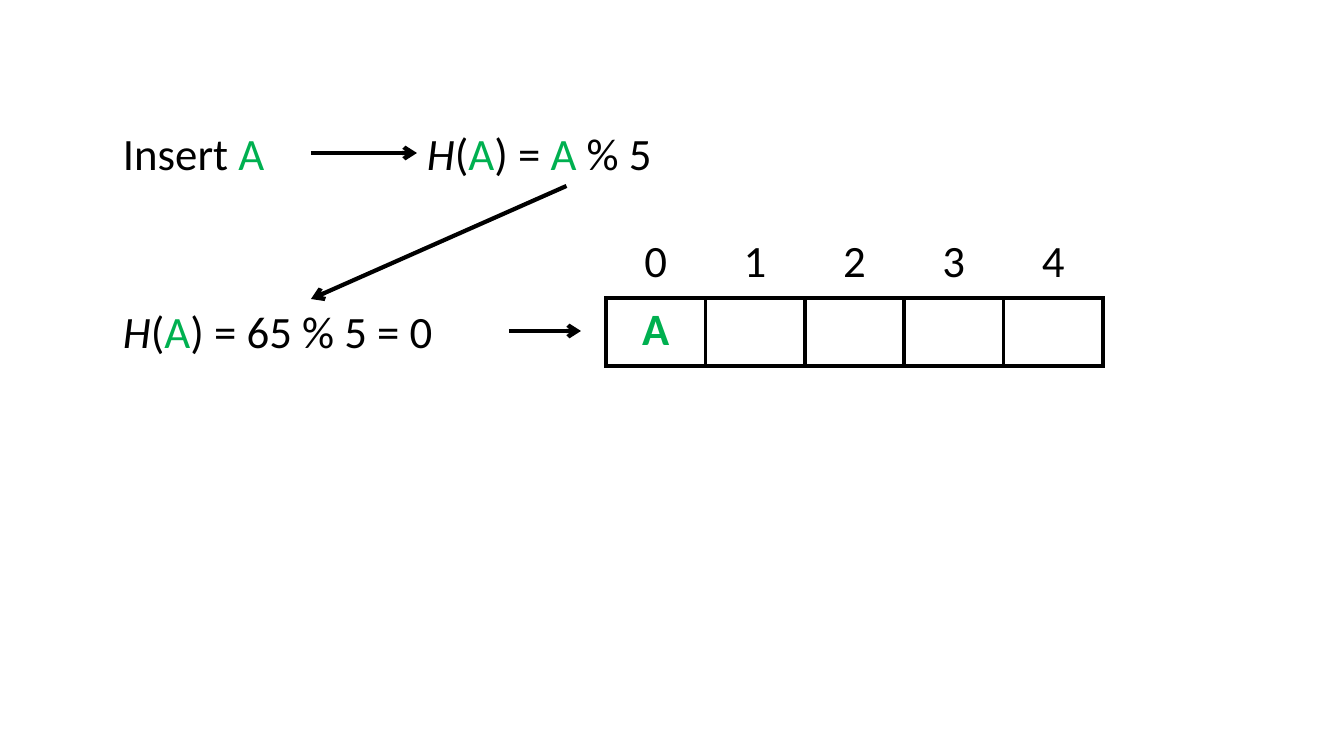
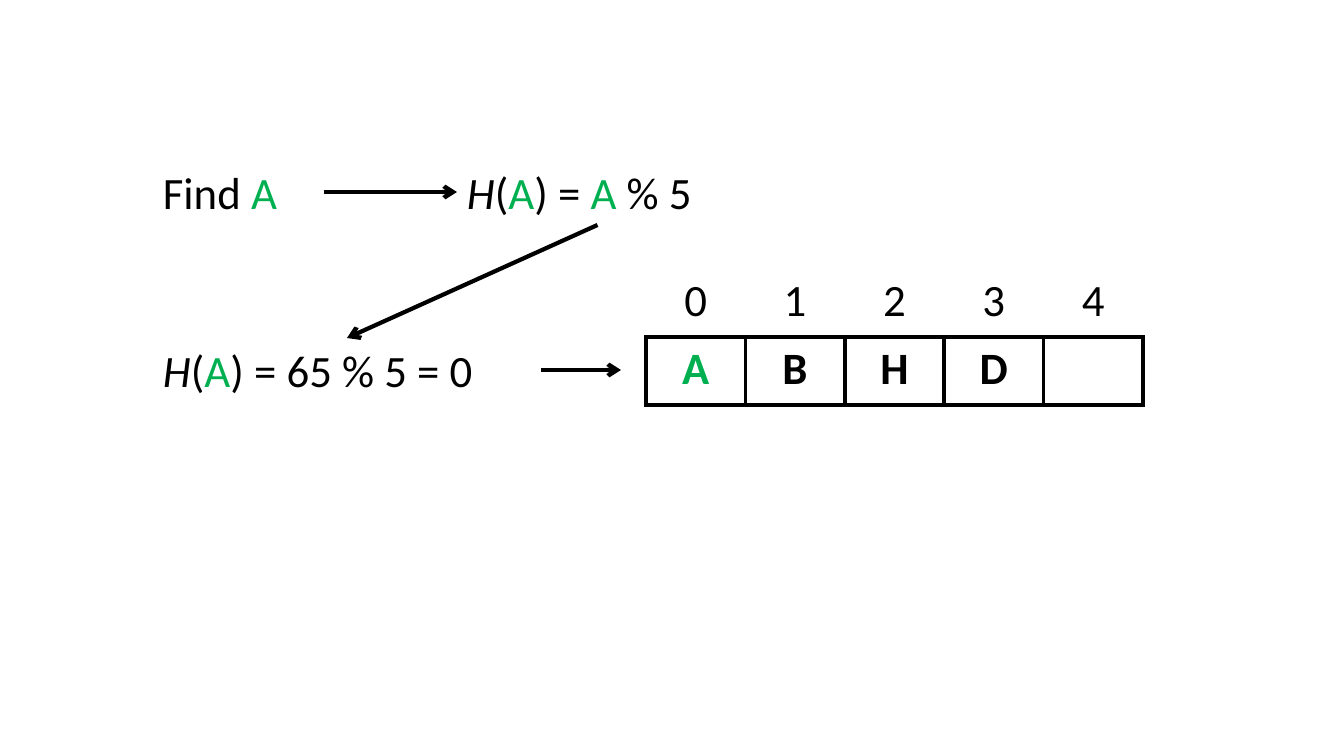
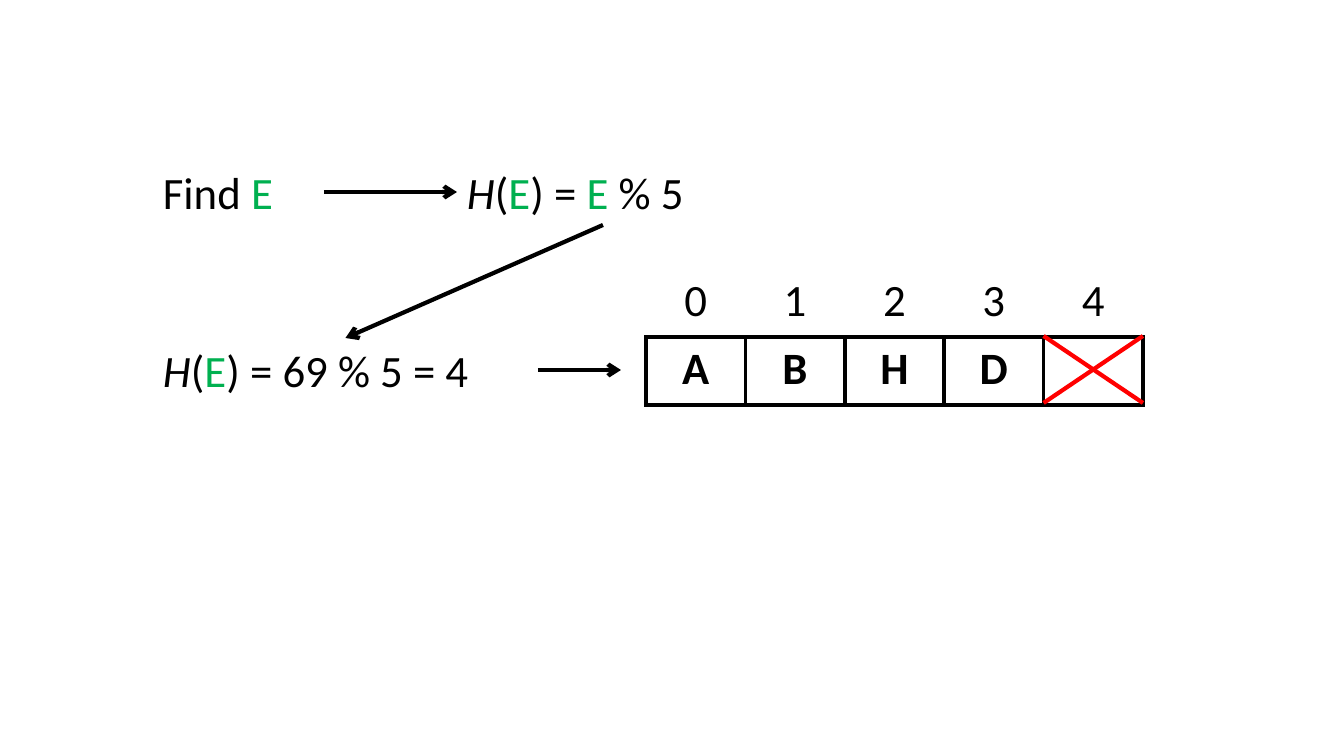
from dataclasses import dataclass

from lxml import etree
from pptx import Presentation
from pptx import util as u
from pptx.dml import color
from pptx.enum import shapes, text
from pptx.oxml import ns

SCALE = 914400 / 100.8
PAGE_WIDTH, PAGE_HEIGHT = 1344, 756
BOX_HEIGHT, HALF_BOX = 65, 32
TABLE_WIDTH, ROW_HEIGHT, SLOTS = 497, 68, 5
FORMULA_OFFSET, TABLE_OFFSET = 304, 493
RESULT_DROP, TABLE_DROP = 178, 177
ARROW_GAP = 25


@dataclass(frozen=True)
class Theme:
    font: str = "Calibri"
    size: int = 32
    line: int = 3
    ink: str = "000000"
    key: str = "00B050"
    miss: str = "FF0000"
    paper: str = "FFFFFF"


def px(length):
    return u.Emu(round(length * SCALE))


def rgb(value):
    return color.RGBColor.from_string(value)


class Painter:
    """Draws hash table elements on the current page in one theme."""

    def __init__(self, deck, theme):
        self.deck, self.theme, self.page = deck, theme, None

    def new_page(self):
        self.page = self.deck.slides.add_slide(self.deck.slide_layouts[6])

    def span(self, para, words, ink=None, bold=False, italic=False):
        span = para.add_run()
        span.text = words
        font = span.font
        font.name, font.size = self.theme.font, u.Pt(self.theme.size)
        font.bold, font.italic = bold, italic
        font.color.rgb = rgb(ink or self.theme.ink)

    def box(self, left, top, width, *spans):
        box = self.page.shapes.add_textbox(px(left), px(top), px(width), px(BOX_HEIGHT))
        frame = box.text_frame
        frame.word_wrap = True
        frame.auto_size = text.MSO_AUTO_SIZE.SHAPE_TO_FIT_TEXT
        for words, style in spans:
            self.span(frame.paragraphs[0], words, **style)

    def line(self, start, end, ink=None, arrow=True):
        ends = [px(value) for value in (*start, *end)]
        line = self.page.shapes.add_connector(shapes.MSO_CONNECTOR.STRAIGHT, *ends)
        line.line.color.rgb = rgb(ink or self.theme.ink)
        line.line.width = u.Pt(self.theme.line)
        properties = line._element.spPr
        if arrow:
            outline = properties.find(ns.qn("a:ln"))
            etree.SubElement(outline, ns.qn("a:tailEnd"), type="arrow")
        etree.SubElement(properties, ns.qn("a:effectLst"))

    def borders(self, cell, ruled):
        properties = cell._tc.get_or_add_tcPr()
        for side in ("lnL", "lnR", "lnT", "lnB"):
            edge = etree.SubElement(properties, ns.qn(f"a:{side}"))
            if ruled:
                edge.set("w", str(u.Pt(self.theme.line)))
                fill = etree.SubElement(edge, ns.qn("a:solidFill"))
                etree.SubElement(fill, ns.qn("a:srgbClr"), val=self.theme.ink)
            else:
                etree.SubElement(edge, ns.qn("a:noFill"))

    def table(self, left, top, entries, ruled, found=None):
        frame = self.page.shapes.add_table(
            1, SLOTS, px(left), px(top), px(TABLE_WIDTH), px(ROW_HEIGHT))
        table = frame.table
        table.first_row = table.horz_banding = False
        for cell, entry in zip(table.iter_cells(), entries):
            self.borders(cell, ruled)
            if ruled:
                cell.fill.solid()
                cell.fill.fore_color.rgb = rgb(self.theme.paper)
            else:
                cell.fill.background()
            if entry:
                para = cell.text_frame.paragraphs[0]
                para.alignment = text.PP_ALIGN.CENTER
                ink = self.theme.key if entry == found else self.theme.ink
                self.span(para, entry, ink, bold=ruled)

    def cross(self, left, top, right, bottom):
        for start, end in ((top, bottom), (bottom, top)):
            self.line((left, start), (right, end), self.theme.miss, arrow=False)

    def lookup(self, left, top, action, key, code, entries, widths, missing=False):
        action_width, formula_width, result_width = widths
        formula_left, table_left = left + FORMULA_OFFSET, left + TABLE_OFFSET
        result_top, table_top = top + RESULT_DROP, top + TABLE_DROP
        green = (key, {"ink": self.theme.key})
        call = (("H", {"italic": True}), ("(", {}), green)
        slot = code % SLOTS

        self.new_page()
        self.table(table_left, table_top, entries, ruled=True, found=key)
        self.box(left, top, action_width, (f"{action} ", {}), green)
        self.line((left + action_width, top + HALF_BOX), (formula_left, top + HALF_BOX))
        self.box(formula_left, top, formula_width,
                 *call, (") = ", {}), green, (f" % {SLOTS} ", {}))
        self.line((formula_left + formula_width / 2, top + BOX_HEIGHT),
                  (left + result_width / 2, result_top))
        self.box(left, result_top, result_width,
                 *call, (f") = {code} % {SLOTS} = {slot} ", {}))
        self.line((left + result_width, result_top + HALF_BOX),
                  (table_left - ARROW_GAP, result_top + HALF_BOX))
        self.table(table_left, table_top - ROW_HEIGHT, map(str, range(SLOTS)), ruled=False)
        if missing:
            slot_width = TABLE_WIDTH / SLOTS
            slot_left = table_left + slot * slot_width
            self.cross(slot_left, table_top - 1,
                       slot_left + slot_width, table_top + ROW_HEIGHT - 2)


deck = Presentation()
deck.slide_width, deck.slide_height = px(PAGE_WIDTH), px(PAGE_HEIGHT)
painter = Painter(deck, Theme())
stored = ("A", "B", "H", "D", "")
painter.lookup(113, 121, "Insert", "A", 65, ("A", "", "", "", ""), (198, 299, 396))
painter.lookup(153, 160, "Find", "A", 65, stored, (171, 281, 388))
painter.lookup(153, 160, "Find", "E", 69, stored, (171, 292, 385), missing=True)
deck.save("out.pptx")
